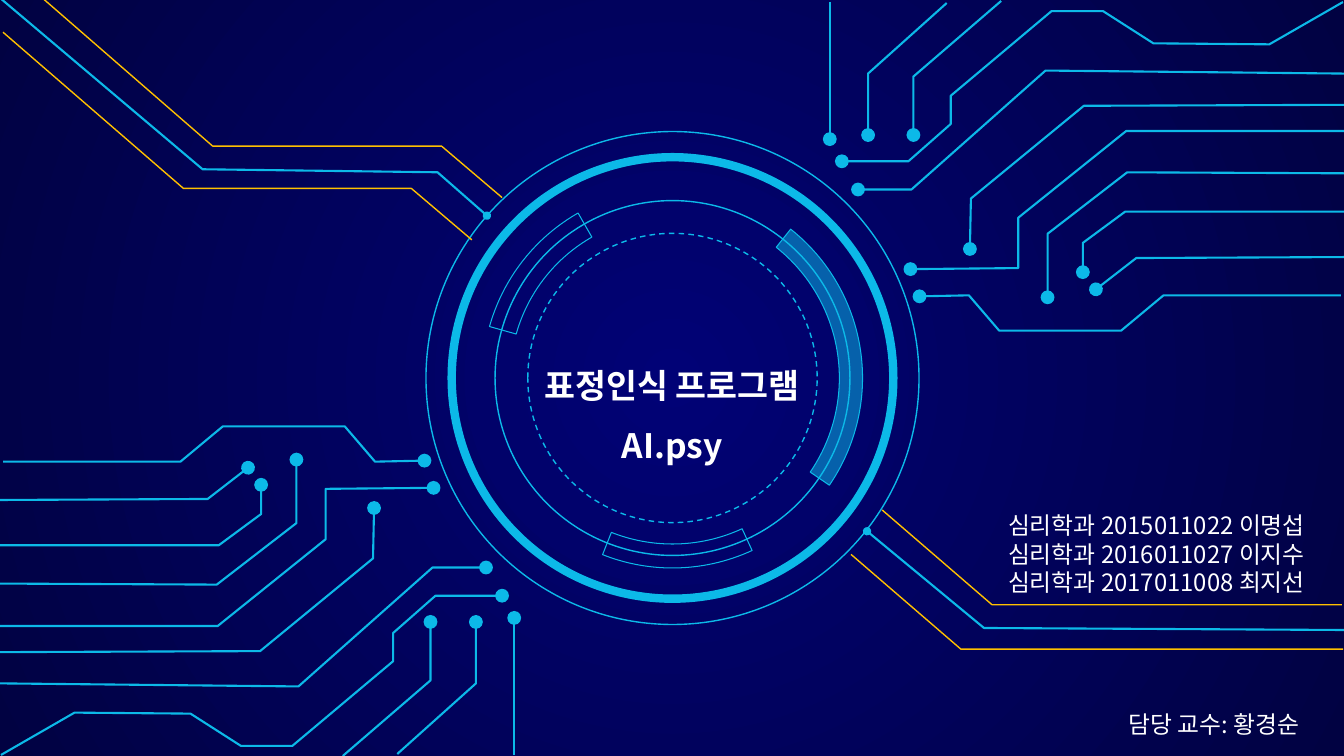
"""Build the circuit-themed title slide."""
import pptx
import pptx.util
import pptx.dml.color
import pptx.enum.dml
import pptx.enum.shapes
import pptx.enum.text
import pptx.oxml.ns
import lxml.etree

INCH = pptx.util.Inches
KIND = pptx.enum.shapes.MSO_SHAPE
CYAN, GOLD, WHITE = "0CB9E8", "FFC000", "FFFFFF"
GLOW = ["010276", "010242"]
FONT = "Noto Sans CJK KR"
WIDE, HIGH = 13.33, 7.5
MID = (6.67, 3.75)
FLIP = (13.33, 7.51)

RINGS = [(4.38, 6, False), (3.52, 1, False), (2.87, 1, True), (4.89, 1, False)]
ARC_SIZE = 3.77
ARCS = [
    ((185.071, 20.618, 0.061), 52),
    ((117.422, 144.138, 0.073), None),
    ((39.135, 66.946, 0.063), None),
]
TRACES = [
    [(-0.03, 6.47), (2.58, 6.46), (3.7, 5.54), (3.71, 5.04)],
    [(-0.01, 6.21), (2.16, 6.21), (3.23, 5.35), (3.23, 4.85), (4.3, 4.84)],
    [(0.03, 4.58), (1.79, 4.58), (2.21, 4.23), (3.42, 4.23), (3.72, 4.58), (4.21, 4.57)],
    [(-0.01, 4.96), (2.06, 4.95), (2.46, 4.64)],
    [(-0.01, 5.41), (2.17, 5.41), (2.59, 5.1), (2.59, 4.81)],
    [(0, 5.79), (2.15, 5.8), (2.94, 5.19), (2.94, 4.56)],
    [(0, 6.78), (2.96, 6.81), (4.29, 5.63), (4.82, 5.63)],
    [(5.1, 7.49), (5.1, 6.13)],
    [(0.01, 7.49), (0.74, 7.07), (1.89, 7.08), (2.39, 7.4), (2.9, 7.4),
     (3.9, 6.56), (3.9, 6.28), (4.32, 5.91), (4.98, 5.91)],
    [(3.4, 7.5), (4.27, 6.75), (4.27, 6.17)],
    [(3.94, 7.48), (4.72, 6.78), (4.72, 6.17)],
]
RAILS = [
    [(0.42, -0.02), (2.11, 1.45), (4.38, 1.45), (4.98, 1.96)],
    [(0.03, 0.32), (1.82, 1.87), (4.08, 1.87), (4.68, 2.38)],
    [(8.75, 5.06), (9.84, 6), (13.31, 6)],
    [(8.44, 5.5), (9.53, 6.44), (13.32, 6.44)],
]
CORES = [
    [(0, -0.02), (2.01, 1.68), (4.34, 1.71), (4.83, 2.14)],
    [(13.33, 6.25), (9.76, 6.23), (8.6, 5.27)],
]
TEXTS = [
    ((4.64, 3.37, 4.05, 1.23), ["표정인식 프로그램", "AI.psy"], 24, True, True),
    ((9.9, 5.02, 3.47, 0.99),
     ["심리학과 2015011022 이명섭", "심리학과 2016011027 이지수", "심리학과 2017011008 최지선"],
     17, False, False),
    ((11.09, 6.99, 2.28, 0.39), ["담당 교수: 황경순"], 17, False, True),
]


def tint(code):
    return pptx.dml.color.RGBColor.from_string(code)


def node(base, tag, **attrs):
    item = lxml.etree.SubElement(base, pptx.oxml.ns.qn(tag))
    for key, value in attrs.items():
        item.set(key, value)
    return item


def stroke(shape, code, width):
    shape.line.color.rgb = tint(code)
    shape.line.width = pptx.util.Pt(width)


def backdrop(slide):
    fill = slide.background.fill
    fill.gradient()
    for stop, code, place in zip(fill.gradient_stops, GLOW, (0, 1)):
        stop.color.rgb = tint(code)
        stop.position = place
    grad = slide.element.find(".//" + pptx.oxml.ns.qn("a:gradFill"))
    grad.remove(grad.find(pptx.oxml.ns.qn("a:lin")))
    circle = node(grad, "a:path", path="circle")
    node(circle, "a:fillToRect", l="50000", t="50000", r="50000", b="50000")


def center(slide, kind, size, width):
    left, top = (INCH(mid - size / 2) for mid in MID)
    shape = slide.shapes.add_shape(kind, left, top, INCH(size), INCH(size))
    shape.shadow.inherit = False
    shape.fill.background()
    stroke(shape, CYAN, width)
    return shape


def arc(slide, turns, alpha):
    shape = center(slide, KIND.BLOCK_ARC, ARC_SIZE, 0.75)
    for spot, turn in enumerate(turns):
        shape.adjustments[spot] = turn
    if alpha:
        shape.fill.solid()
        shape.fill.fore_color.rgb = tint(CYAN)
        color = shape.element.spPr.find(".//" + pptx.oxml.ns.qn("a:srgbClr"))
        node(color, "a:alpha", val=str(alpha * 1000))


def trace(slide, points, code, width, dot=None):
    spots = [(INCH(x), INCH(y)) for x, y in points]
    if len(spots) == 2:
        kind = pptx.enum.shapes.MSO_CONNECTOR.STRAIGHT
        shape = slide.shapes.add_connector(kind, *spots[0], *spots[1])
        stroke(shape, code, width)
        node(shape.element.spPr, "a:effectLst")
    else:
        draft = slide.shapes.build_freeform(*spots[0])
        draft.add_line_segments(spots[1:], close=False)
        shape = draft.convert_to_shape()
        shape.shadow.inherit = False
        shape.fill.background()
        stroke(shape, code, width)
    if dot:
        line = shape.element.spPr.find(pptx.oxml.ns.qn("a:ln"))
        node(line, "a:tailEnd", type="oval", w=dot, len=dot)


def write(slide, box, lines, size, title, wrap):
    frame = slide.shapes.add_textbox(*map(INCH, box)).text_frame
    frame.word_wrap = wrap
    frame.auto_size = pptx.enum.text.MSO_AUTO_SIZE.SHAPE_TO_FIT_TEXT
    for row, line in enumerate(lines):
        para = frame.add_paragraph() if row else frame.paragraphs[0]
        if title:
            para.alignment = pptx.enum.text.PP_ALIGN.CENTER
            para.line_spacing = 1.5
        run = para.add_run()
        run.text = line
        run.font.size = pptx.util.Pt(size)
        run.font.bold = title
        run.font.color.rgb = tint(WHITE)
        run.font.name = FONT
        node(run.font._element, "a:ea", typeface=FONT)


def main():
    deck = pptx.Presentation()
    deck.slide_width, deck.slide_height = INCH(WIDE), INCH(HIGH)
    slide = deck.slides.add_slide(deck.slide_layouts[6])
    backdrop(slide)
    for size, width, dashed in RINGS:
        ring = center(slide, KIND.OVAL, size, width)
        if dashed:
            ring.line.dash_style = pptx.enum.dml.MSO_LINE.DASH
    for turns, alpha in ARCS:
        arc(slide, turns, alpha)
    for points in TRACES:
        turned = [(FLIP[0] - x, FLIP[1] - y) for x, y in points]
        for route in (points, turned):
            trace(slide, route, CYAN, 1.5, "lg")
    for points in RAILS:
        trace(slide, points, GOLD, 1)
    for points in CORES:
        trace(slide, points, CYAN, 1.5, "med")
    for text in TEXTS:
        write(slide, *text)
    deck.save("out.pptx")


if __name__ == "__main__":
    main()
